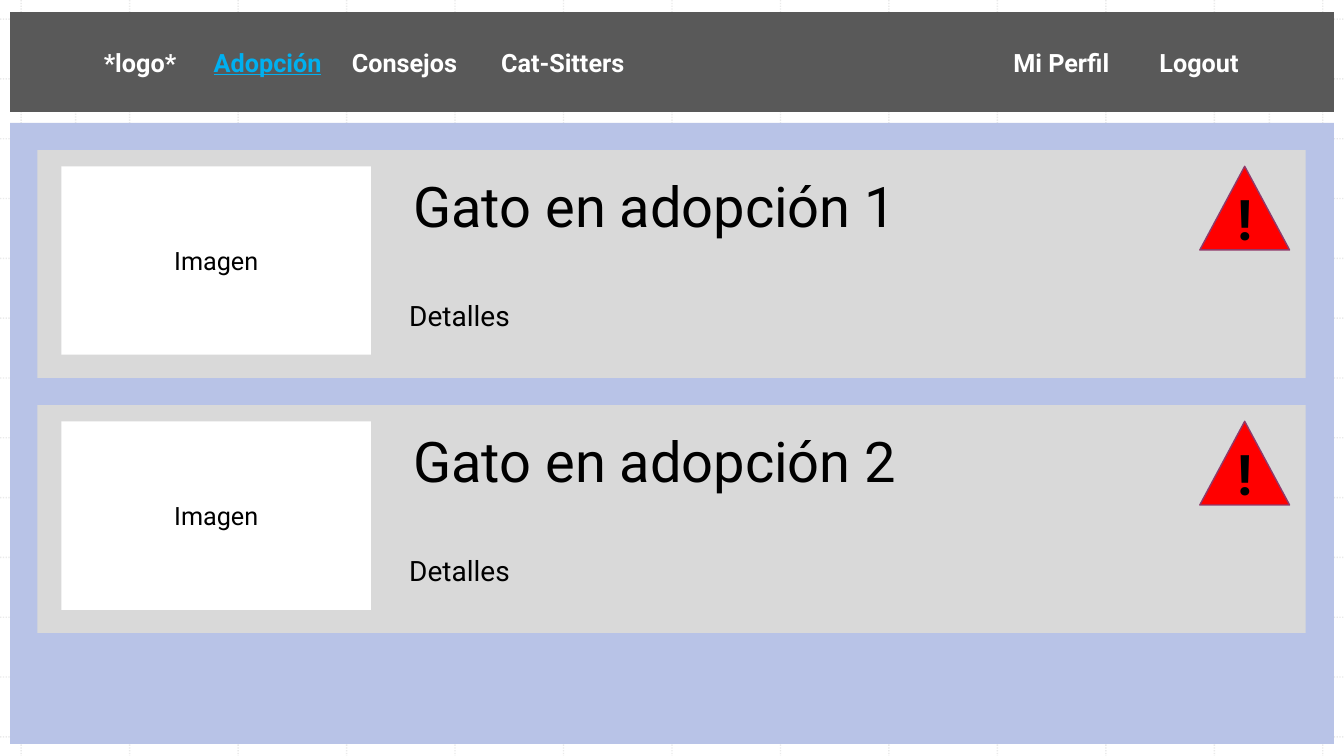
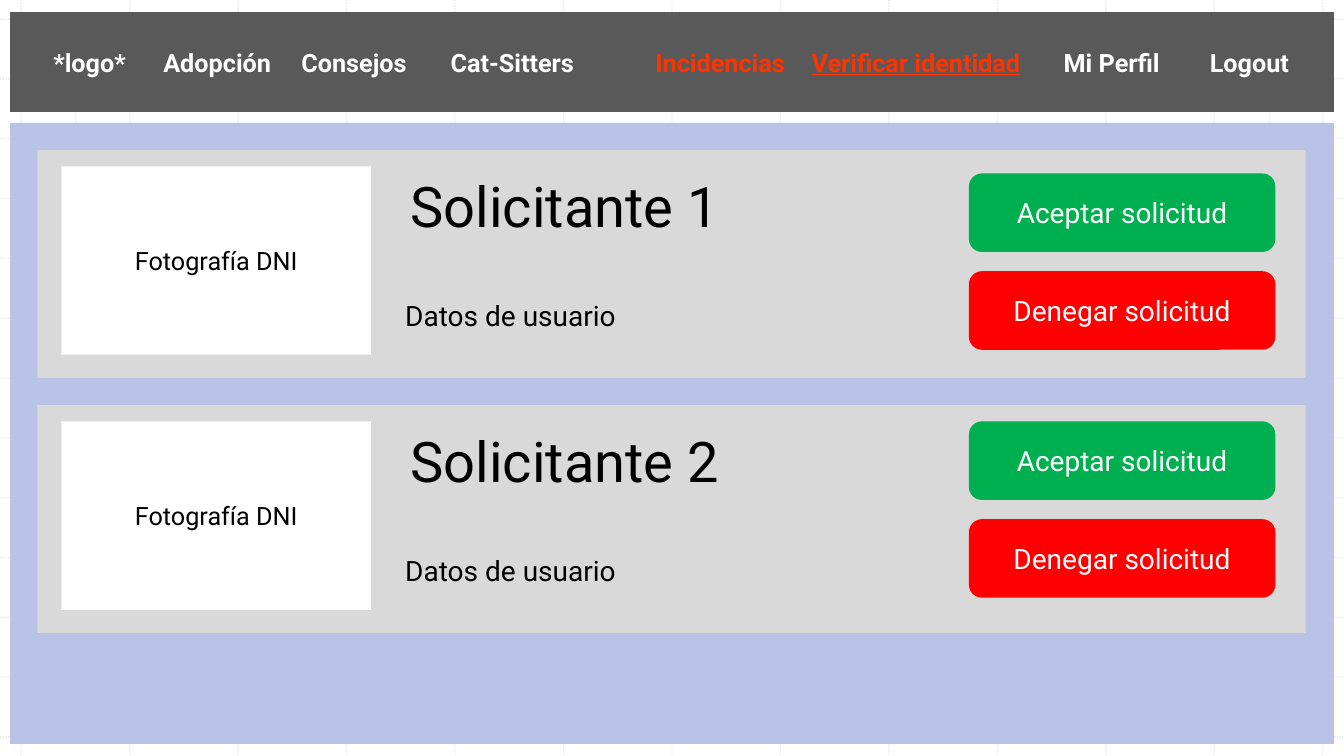
from dataclasses import dataclass

from pptx import Presentation
from pptx.dml.color import RGBColor
from pptx.enum.dml import MSO_LINE
from pptx.enum.shapes import MSO_CONNECTOR, MSO_SHAPE
from pptx.enum.text import MSO_ANCHOR as Anchor, MSO_AUTO_SIZE as AutoSize, PP_ALIGN as Align
from pptx.oxml.ns import qn
from pptx.shapes.autoshape import Shape
from pptx.slide import Slide
from pptx.text.text import _Paragraph as Paragraph
from pptx.util import Inches, Pt
from lxml.etree import SubElement

FONT = "Roboto"
BLACK = RGBColor(0x00, 0x00, 0x00)
WHITE = RGBColor(0xFF, 0xFF, 0xFF)
GRID_GREY = RGBColor(0xBC, 0xBC, 0xBC)
CARD_GREY = RGBColor(0xD9, 0xD9, 0xD9)
BAR_GREY = RGBColor(0x59, 0x59, 0x59)
LAVENDER = RGBColor(0xB8, 0xC3, 0xE7)
SKY = RGBColor(0x00, 0xB0, 0xF0)
ORANGE = RGBColor(0xFF, 0x33, 0x00)
GREEN = RGBColor(0x00, 0xB0, 0x50)
RED = RGBColor(0xFF, 0x00, 0x00)
PLUM = RGBColor(0x90, 0x39, 0x6A)

SLIDE_W, SLIDE_H = 13.33, 7.5
PAGE_LEFT, PAGE_W = 0.1, 13.13
FIRST_CARD_TOP, CARD_PITCH = 1.49, 2.53
CARD_PAD = 0.16


@dataclass(frozen=True)
class Box:
    left: float
    top: float
    width: float
    height: float

    def lengths(self) -> tuple[Inches, ...]:
        return tuple(Inches(v) for v in (self.left, self.top, self.width, self.height))


@dataclass(frozen=True)
class NavItem:
    label: str
    left: float
    color: RGBColor = WHITE
    active: bool = False


@dataclass(frozen=True)
class Card:
    heading: str
    details: str
    photo: str
    text_left: float
    text_width: float
    buttons_top: float | None = None  # a card without buttons shows an alert


ADOPTION_NAV = [
    NavItem("*logo*", 1.03),
    NavItem("Adopción", 2.12, SKY, active=True),
    NavItem("Consejos", 3.49),
    NavItem("Cat-Sitters", 4.97),
    NavItem("Mi Perfil", 10.05),
    NavItem("Logout", 11.5),
]
VERIFICATION_NAV = [
    NavItem("*logo*", 0.53),
    NavItem("Adopción", 1.62),
    NavItem("Consejos", 2.99),
    NavItem("Cat-Sitters", 4.47),
    NavItem("Incidencias", 6.5, ORANGE),
    NavItem("Verificar identidad", 8.05, ORANGE, active=True),
    NavItem("Mi Perfil", 10.55),
    NavItem("Logout", 12),
]
ADOPTION_CARDS = [
    Card(f"Gato en adopción {n}", "Detalles", "Imagen", 3.96, 5.07) for n in (1, 2)
]
VERIFICATION_CARDS = [
    Card(f"Solicitante {n}", "Datos de usuario", "Fotografía DNI", 3.92, 3.36, top)
    for n, top in ((1, 1.72), (2, 4.18))
]


def add_text(paragraph: Paragraph, text: str, size: int, color: RGBColor = BLACK,
             bold: bool = False, underline: bool = False) -> None:
    run = paragraph.add_run()
    run.text = text
    font = run.font
    font.name, font.size, font.bold, font.underline = FONT, Pt(size), bold, underline
    font.color.rgb = color


def add_block(slide: Slide, box: Box, fill: RGBColor,
              preset: MSO_SHAPE = MSO_SHAPE.RECTANGLE) -> Shape:
    block = slide.shapes.add_shape(preset, *box.lengths())
    block.shadow.inherit = False
    block.fill.solid()
    block.fill.fore_color.rgb = fill
    block.line.fill.background()
    return block


def add_label(block: Shape, text: str, size: int, color: RGBColor = BLACK) -> None:
    block.text_frame.vertical_anchor = Anchor.MIDDLE
    paragraph = block.text_frame.paragraphs[0]
    paragraph.alignment = Align.CENTER
    add_text(paragraph, text, size, color)


def add_fitted_text(slide: Slide, box: Box) -> Shape:
    """Text box that does not wrap and grows with its text."""
    text_box = slide.shapes.add_textbox(*box.lengths())
    text_box.text_frame.word_wrap = False
    text_box.text_frame.auto_size = AutoSize.SHAPE_TO_FIT_TEXT
    return text_box


def add_master_grid(slide: Slide) -> None:
    """Draw the dotted grid and move it to the slide master."""
    columns = [0.21 + i * 12.91 / 12 for i in range(13)]
    rows = [0.19 + i * 7.12 / 12 for i in range(13)]
    lines = [(x, 0, x, SLIDE_H) for x in columns]
    lines += [(0, y, SLIDE_W, y) for y in rows]
    lines += [(x, rows[0], x, rows[-1]) for x in (0.75, 12.59)]
    master_tree = slide.slide_layout.slide_master.shapes.element
    for number, ends in enumerate(lines, start=100):
        rule = slide.shapes.add_connector(MSO_CONNECTOR.STRAIGHT, *(Inches(v) for v in ends))
        rule.line.width = Pt(1)
        rule.line.color.rgb = GRID_GREY
        rule.line.dash_style = MSO_LINE.ROUND_DOT
        color = next(rule.element.iter(qn("a:srgbClr")))
        SubElement(color, qn("a:alpha")).set("val", "30000")
        SubElement(rule.element.spPr, qn("a:effectLst"))
        next(rule.element.iter(qn("p:cNvPr"))).set("id", str(number))
        master_tree.append(rule.element)


def add_nav_bar(slide: Slide, items: list[NavItem]) -> None:
    """Menu bar whose items stand on tab stops."""
    bar = add_block(slide, Box(PAGE_LEFT, 0.12, PAGE_W, 0.99), BAR_GREY)
    frame = bar.text_frame
    frame.vertical_anchor = Anchor.MIDDLE
    start = items[0].left
    frame.margin_left, frame.margin_right = Inches(start - PAGE_LEFT), 0
    menu = frame.paragraphs[0]
    menu.alignment = Align.LEFT
    tab_stops = SubElement(menu._p.get_or_add_pPr(), qn("a:tabLst"))
    for item in items:
        if item.left > start:
            stop = SubElement(tab_stops, qn("a:tab"))
            stop.set("pos", str(Inches(item.left - start)))
            stop.set("algn", "l")
            add_text(menu, "\t", 18, WHITE, bold=True)
        add_text(menu, item.label, 18, item.color, bold=True, underline=item.active)


def add_alert(slide: Slide, top: float) -> None:
    triangle = add_block(slide, Box(11.9, top, 0.89, 0.83), RED, MSO_SHAPE.ISOSCELES_TRIANGLE)
    triangle.line.color.rgb = PLUM
    triangle.line.width = Pt(1)
    mark = add_fitted_text(slide, Box(12.18, top + 0.13, 0.34, 0.77))
    add_text(mark.text_frame.paragraphs[0], "!", 40, bold=True)


def add_buttons(slide: Slide, top: float) -> None:
    choices = (("Aceptar solicitud", GREEN), ("Denegar solicitud", RED))
    for row, (caption, fill) in enumerate(choices):
        box = Box(9.61, top + row * 0.97, 3.04, 0.78)
        button = add_block(slide, box, fill, MSO_SHAPE.ROUNDED_RECTANGLE)
        add_label(button, caption, 20, WHITE)


def add_card(slide: Slide, card: Card, top: float) -> None:
    inner_top = top + CARD_PAD
    add_block(slide, Box(0.37, top, 12.58, 2.26), CARD_GREY)
    photo = add_block(slide, Box(0.61, inner_top, 3.07, 1.87), WHITE)
    add_label(photo, card.photo, 18)

    summary = add_fitted_text(slide, Box(card.text_left, inner_top, card.text_width, 1.78))
    heading = summary.text_frame.paragraphs[0]
    heading.alignment = Align.CENTER
    add_text(heading, card.heading, 40)
    details = summary.text_frame.add_paragraph()
    details.alignment = Align.LEFT
    details.space_before = Pt(43)
    add_text(details, card.details, 20)

    if card.buttons_top is None:
        add_alert(slide, inner_top)
    else:
        add_buttons(slide, card.buttons_top)


def fill_page(slide: Slide, nav: list[NavItem], cards: list[Card]) -> None:
    add_block(slide, Box(PAGE_LEFT, 1.22, PAGE_W, 6.16), LAVENDER)
    for row, card in enumerate(cards):
        add_card(slide, card, FIRST_CARD_TOP + row * CARD_PITCH)
    add_nav_bar(slide, nav)


def main() -> None:
    deck = Presentation()
    deck.slide_width, deck.slide_height = Inches(SLIDE_W), Inches(SLIDE_H)
    blank = deck.slide_layouts[6]
    adoption = deck.slides.add_slide(blank)
    add_master_grid(adoption)
    fill_page(adoption, ADOPTION_NAV, ADOPTION_CARDS)
    fill_page(deck.slides.add_slide(blank), VERIFICATION_NAV, VERIFICATION_CARDS)
    deck.save("out.pptx")


if __name__ == "__main__":
    main()
